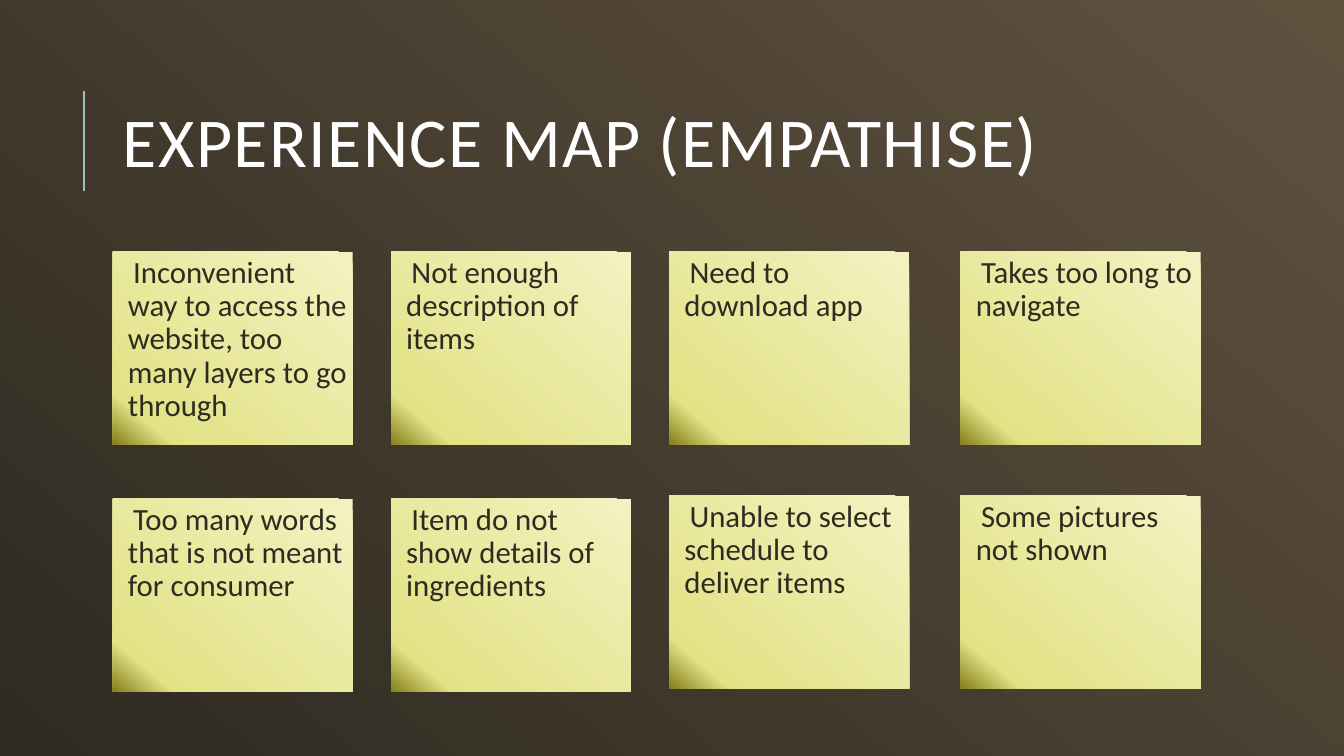
from dataclasses import dataclass

import pptx
import pptx.dml.color
import pptx.enum.shapes
import pptx.enum.text
import pptx.oxml
import pptx.oxml.ns
import pptx.util

COLOURS = {
    "brown": "5F513E",
    "dark": "2E2B21",
    "pale": "F4F2C2",
    "yellow": "E2E286",
    "olive": "858019",
    "accent": "9CBEBD",
    "white": "FFFFFF",
}
BACKGROUND_STOPS = [(0, "brown"), (100, "dark")]
NOTE_STOPS = [(0, "pale"), (87, "yellow"), (100, "olive")]
GRADIENT_ANGLE = 360 - 130

SLIDE_WIDTH = pptx.util.Inches(13.33)
SLIDE_HEIGHT = pptx.util.Inches(7.5)

NOTE_LEFT, NOTE_TOP = 8.4, 33.33
NOTE_WIDTH, NOTE_HEIGHT = 17.85, 25.47
COLUMN_PITCH, ROW_PITCH = 20.7, 32.67
LAST_COLUMN_SHIFT, RAISED_SHIFT = 0.98, -0.4

INSET = pptx.util.Inches(0.05)
NOTE_FRAME = {
    "word_wrap": True,
    "vertical_anchor": pptx.enum.text.MSO_ANCHOR.TOP,
    "margin_left": INSET,
    "margin_top": INSET,
    "margin_right": INSET,
    "margin_bottom": INSET,
}
NOTE_PARAGRAPH = {
    "alignment": pptx.enum.text.PP_ALIGN.LEFT,
    "line_spacing": 0.9,
    "space_before": pptx.util.Pt(12),
    "space_after": pptx.util.Pt(2),
}
TITLE_FRAME = {"word_wrap": True, "vertical_anchor": pptx.enum.text.MSO_ANCHOR.MIDDLE}
TITLE_PARAGRAPH = {"alignment": pptx.enum.text.PP_ALIGN.LEFT, "line_spacing": 0.8}


@dataclass
class Note:
    column: int
    row: int
    text: str
    shift_x: float = 0
    shift_y: float = 0


NOTES = [
    Note(0, 0, "Inconvenient way to access the website, too many layers to go through"),
    Note(0, 1, "Too many words that is not meant for consumer"),
    Note(1, 1, "Item do not show details of ingredients"),
    Note(1, 0, "Not enough description of items"),
    Note(2, 0, "Need to download app"),
    Note(2, 1, "Unable to select schedule to deliver items", shift_y=RAISED_SHIFT),
    Note(3, 0, "Takes too long to navigate", LAST_COLUMN_SHIFT),
    Note(3, 1, "Some pictures not shown", LAST_COLUMN_SHIFT, RAISED_SHIFT),
]


def across(percent: float) -> int:
    return round(SLIDE_WIDTH * percent / 100)


def down(percent: float) -> int:
    return round(SLIDE_HEIGHT * percent / 100)


def rgb(name: str) -> pptx.dml.color.RGBColor:
    return pptx.dml.color.RGBColor.from_string(COLOURS[name])


def apply(target: object, values: dict) -> None:
    for name, value in values.items():
        setattr(target, name, value)


def fill_gradient(fill, element, stops: list) -> None:
    fill.gradient()
    fill.gradient_angle = GRADIENT_ANGLE
    stop_list = element.xpath(".//a:gsLst")[0]
    for stop in list(stop_list):
        stop_list.remove(stop)
    for position, colour in stops:
        stop_list.append(pptx.oxml.parse_xml(
            f'<a:gs {pptx.oxml.ns.nsdecls("a")} pos="{position * 1000}">'
            f'<a:srgbClr val="{COLOURS[colour]}"/></a:gs>'))


def write_text(shape, text: str, size: float, colour: str, frame: dict, layout: dict):
    apply(shape.text_frame, frame)
    paragraph = shape.text_frame.paragraphs[0]
    apply(paragraph, layout)
    run = paragraph.add_run()
    run.text = text
    apply(run.font, {"name": "Calibri", "size": pptx.util.Pt(size)})
    run.font.color.rgb = rgb(colour)
    return paragraph


def draw_title(slide) -> None:
    line = slide.shapes.add_connector(
        pptx.enum.shapes.MSO_CONNECTOR.STRAIGHT,
        across(6.23), down(25.33), across(6.23), down(12))
    line.line.color.rgb = rgb("accent")
    line.line.width = pptx.util.Pt(1.5)
    line.element.spPr.append(pptx.oxml.parse_xml(
        f'<a:effectLst {pptx.oxml.ns.nsdecls("a")}/>'))
    title = slide.shapes.add_textbox(across(8.4), down(8.53), across(79.74), down(21.87))
    paragraph = write_text(title, "EXPERIENCE MAP (EMPATHISE)", 50, "white",
                           TITLE_FRAME, TITLE_PARAGRAPH)
    paragraph.runs[0].font.element.set("spc", "100") if hasattr(
        paragraph.runs[0].font, "element") else title.element.xpath(
        ".//a:rPr")[0].set("spc", "100")


def draw_note(slide, note: Note) -> None:
    shape = slide.shapes.add_shape(
        pptx.enum.shapes.MSO_SHAPE.RECTANGLE,
        across(NOTE_LEFT + note.column * COLUMN_PITCH + note.shift_x),
        down(NOTE_TOP + note.row * ROW_PITCH + note.shift_y),
        across(NOTE_WIDTH), down(NOTE_HEIGHT))
    shape.shadow.inherit = False
    shape.line.fill.background()
    fill_gradient(shape.fill, shape.element, NOTE_STOPS)
    write_text(shape, note.text, 22, "dark", NOTE_FRAME, NOTE_PARAGRAPH)
    properties = shape.element.xpath(".//a:pPr")[0]
    indent = pptx.util.Inches(0.1)
    properties.set("marL", str(indent))
    properties.set("indent", str(-indent))
    namespace = pptx.oxml.ns.nsdecls("a")
    properties.append(pptx.oxml.parse_xml(
        f'<a:buClr {namespace}><a:srgbClr val="{COLOURS["accent"]}"/></a:buClr>'))
    properties.append(pptx.oxml.parse_xml(f'<a:buChar {namespace} char=" "/>'))


def main() -> None:
    presentation = pptx.Presentation()
    apply(presentation, {"slide_width": SLIDE_WIDTH, "slide_height": SLIDE_HEIGHT})
    slide = presentation.slides.add_slide(presentation.slide_layouts[6])
    fill_gradient(slide.background.fill, slide.element, BACKGROUND_STOPS)
    draw_title(slide)
    for note in NOTES:
        draw_note(slide, note)
    presentation.save("out.pptx")


if __name__ == "__main__":
    main()
